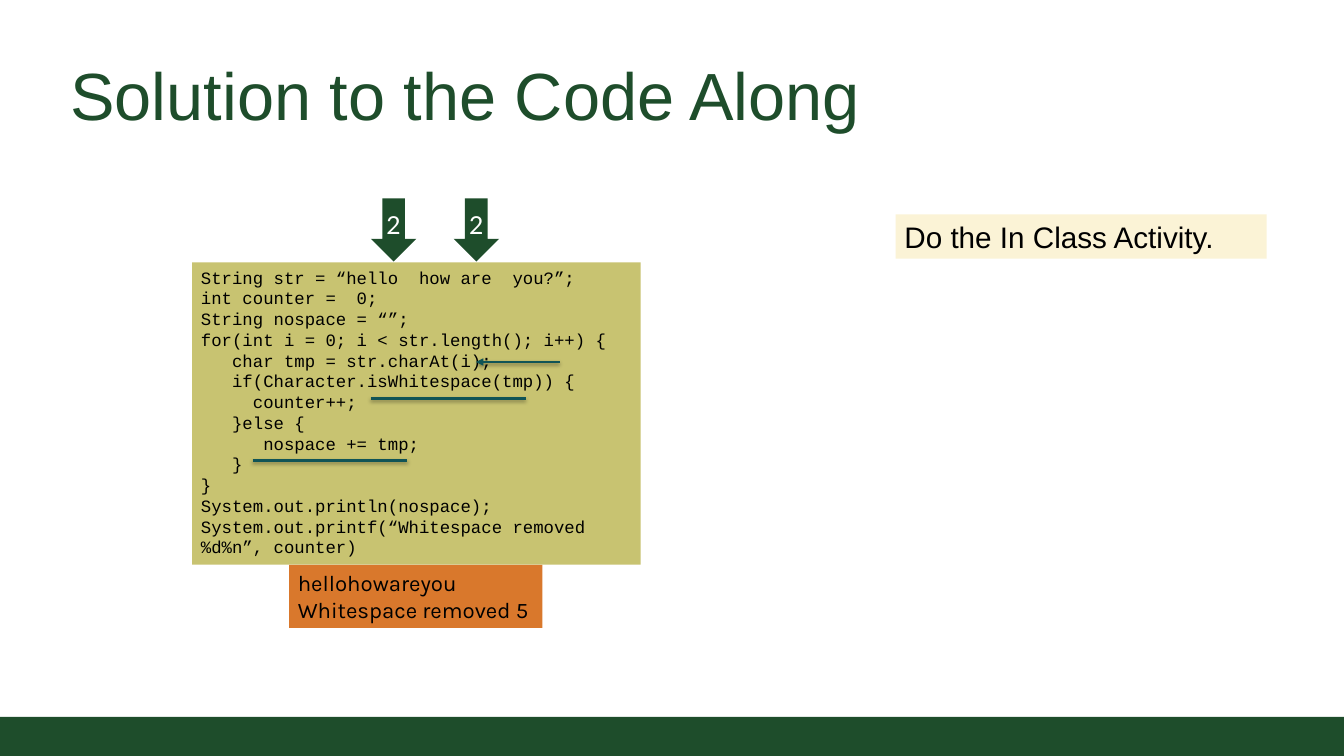
from dataclasses import dataclass

from lxml import etree
from pptx import Presentation, util as u
from pptx.dml.color import RGBColor
from pptx.enum import shapes, text
from pptx.oxml import parse_xml
from pptx.oxml.ns import nsdecls, qn

WIDTH, HEIGHT = u.Inches(15.11), u.Inches(8.5)
GREEN, BLACK, WHITE, TEAL = "1E4D2B", "000000", "FFFFFF", "105456"

CODE = """String str = “hello  how are  you?”;
int counter =  0;
String nospace = “”;
for(int i = 0; i < str.length(); i++) {
   char tmp = str.charAt(i);
   if(Character.isWhitespace(tmp)) {
     counter++;
   }else {
      nospace += tmp;
   }
}
System.out.println(nospace);
System.out.printf(“Whitespace removed %d%n”, counter)"""

SHADOW = f"""<a:effectLst {nsdecls("a")}>
  <a:outerShdw blurRad="{u.Pt(3.1)}" dist="{u.Pt(1.6)}" dir="5400000" rotWithShape="0">
    <a:srgbClr val="{BLACK}"><a:alpha val="38000"/></a:srgbClr>
  </a:outerShdw>
</a:effectLst>"""


@dataclass
class Panel:
    """A filled rectangle; lengths are percentages of the slide."""
    left: float
    top: float
    width: float
    height: float
    fill: str
    words: str = ""
    font: str = "Arial"
    size: float = 24


@dataclass
class Stroke:
    """A horizontal line; lengths are percentages of the slide."""
    start: float
    end: float
    y: float
    arrow: bool = False


PANELS = [
    Panel(0, 94.82, 100, 5.18, GREEN),
    Panel(14.3, 34.71, 33.36, 40, "C8C371", CODE, "Courier New", 14),
    Panel(21.51, 74.71, 18.86, 8.35, "D9782C",
          "hellohowareyou\nWhitespace removed 5", "Karla", 18),
    Panel(66.64, 28.35, 27.6, 5.88, "FBF3D6", "Do the In Class Activity."),
]
SPACE_MARKERS = [Panel(left, 26.24, 3.38, 8.35, GREEN, "2", "Lato", 20)
                 for left in (27.6, 33.75)]
STROKES = [
    Stroke(27.6, 39.11, 52.71),
    Stroke(18.8, 30.31, 60.94),
    Stroke(41.63, 35.41, 47.88, arrow=True),
]


def rgb(value: str) -> RGBColor:
    return RGBColor.from_string(value)


def across(share: float) -> int:
    return round(WIDTH * share / 100)


def down(share: float) -> int:
    return round(HEIGHT * share / 100)


def place(sp, left: float, top: float, width: float, height: float) -> None:
    sp.left, sp.top = across(left), down(top)
    sp.width, sp.height = across(width), down(height)


def write(tf, words: str, font: str, size: float, color: str, align) -> None:
    for i, line in enumerate(words.split("\n")):
        p = tf.paragraphs[0] if i == 0 else tf.add_paragraph()
        p.text = line
        p.alignment = align
        p.font.name, p.font.size = font, u.Pt(size)
        p.font.color.rgb = rgb(color)


def add_panel(s, panel: Panel, kind=shapes.MSO_SHAPE.RECTANGLE):
    sp = s.shapes.add_shape(kind, 0, 0, 0, 0)
    place(sp, panel.left, panel.top, panel.width, panel.height)
    sp.shadow.inherit = False
    sp.fill.solid()
    sp.fill.fore_color.rgb = rgb(panel.fill)
    sp.line.fill.background()
    if panel.words:
        tf = sp.text_frame
        tf.word_wrap = True
        tf.vertical_anchor = text.MSO_ANCHOR.TOP
        write(tf, panel.words, panel.font, panel.size, BLACK, text.PP_ALIGN.LEFT)
    return sp


def add_marker(s, marker: Panel) -> None:
    """Draw a down arrow with its white count in the middle."""
    tf = add_panel(s, marker, shapes.MSO_SHAPE.DOWN_ARROW).text_frame
    tf.word_wrap = False
    tf.vertical_anchor = text.MSO_ANCHOR.MIDDLE
    tf.margin_left = tf.margin_right = tf.margin_top = tf.margin_bottom = 0
    write(tf, marker.words, marker.font, marker.size, WHITE, text.PP_ALIGN.CENTER)


def add_stroke(s, stroke: Stroke) -> None:
    y = down(stroke.y)
    line = s.shapes.add_connector(shapes.MSO_CONNECTOR.STRAIGHT,
                                  across(stroke.start), y, across(stroke.end), y)
    line.line.color.rgb = rgb(TEAL)
    line.line.width = u.Pt(2)
    if stroke.arrow:
        etree.SubElement(line.line._get_or_add_ln(), qn("a:tailEnd"), type="triangle")
    line._element.spPr.append(parse_xml(SHADOW))


def add_title(s, words: str) -> None:
    title = s.shapes.title
    place(title, 4.57, 5.76, 90.93, 13.06)
    tf = title.text_frame
    tf.auto_size = text.MSO_AUTO_SIZE.NONE
    tf.vertical_anchor = text.MSO_ANCHOR.BOTTOM
    tf.margin_left = tf.margin_right = tf.margin_top = tf.margin_bottom = u.Inches(0.1)
    write(tf, words, "Arial", 54, GREEN, text.PP_ALIGN.LEFT)


def main() -> None:
    prs = Presentation()
    prs.slide_width, prs.slide_height = WIDTH, HEIGHT
    s = prs.slides.add_slide(prs.slide_layouts[5])
    add_title(s, "Solution to the Code Along")
    for panel in PANELS:
        add_panel(s, panel)
    for marker in SPACE_MARKERS:
        add_marker(s, marker)
    for stroke in STROKES:
        add_stroke(s, stroke)
    prs.save("out.pptx")


if __name__ == "__main__":
    main()
